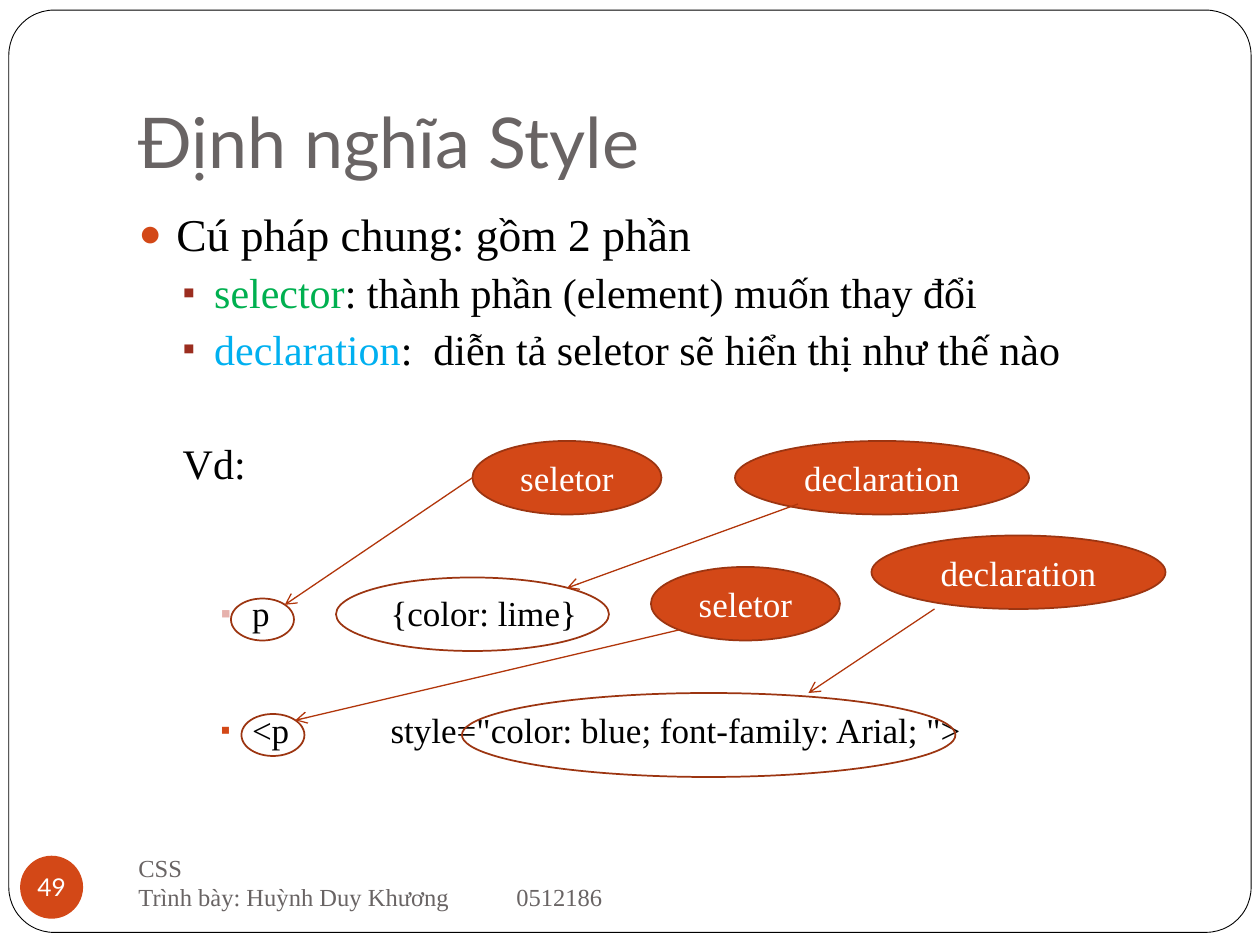
import dataclasses
from typing import Optional

import lxml.etree
import pptx
import pptx.dml.color
import pptx.enum.shapes
import pptx.enum.text
import pptx.oxml.ns
import pptx.util

RGBColor = pptx.dml.color.RGBColor
SHAPE = pptx.enum.shapes.MSO_SHAPE
ANCHOR = pptx.enum.text.MSO_ANCHOR
ALIGN = pptx.enum.text.PP_ALIGN
qn = pptx.oxml.ns.qn

WHITE = RGBColor(0xFF, 0xFF, 0xFF)
BLACK = RGBColor(0x00, 0x00, 0x00)
GRAY = RGBColor(0x69, 0x64, 0x64)
ORANGE = RGBColor(0xD3, 0x48, 0x17)
RUST = RGBColor(0x9C, 0x35, 0x11)
ARROW_RED = RGBColor(0xB1, 0x36, 0x0B)
BRICK = RGBColor(0x9B, 0x2D, 0x1F)
PINK = RGBColor(0xE6, 0xB1, 0xAC)
GREEN = RGBColor(0x00, 0xB0, 0x50)
SKY = RGBColor(0x00, 0xB0, 0xF0)
SERIF = "Times New Roman"
SANS = "Lato"

COLUMNS, ROWS = 120, 90
WIDTH, HEIGHT = pptx.util.Inches(10), pptx.util.Inches(7.5)
INDENTS = ((0.3, -0.3), (0.6, -0.25), (0.9, -0.25))
CODE_TAB, FOOTER_TAB = 24, 36


@dataclasses.dataclass(frozen=True)
class Bullet:
    mark: str
    color: RGBColor
    percent: int = 85


@dataclasses.dataclass(frozen=True)
class Item:
    level: int
    size: int
    before: float
    spans: tuple
    bullet: Optional[Bullet] = None
    tab: int = 0


@dataclasses.dataclass(frozen=True)
class Oval:
    column: float
    row: float
    columns: float
    rows: float
    label: str = ""


@dataclasses.dataclass(frozen=True)
class Arrow:
    start: tuple
    end: tuple


ITEMS = (
    Item(0, 26, 5.8, (("Cú pháp chung: gồm 2 phần", BLACK),), Bullet("●", ORANGE)),
    Item(1, 24, 3.7, (("selector", GREEN), (": thành phần (element) muốn thay đổi", BLACK)),
         Bullet("▪", BRICK)),
    Item(1, 24, 3.7, (("declaration", SKY),
                      (":  diễn tả seletor sẽ hiển thị như thế nào", BLACK)),
         Bullet("▪", BRICK)),
    Item(1, 24, 36.2, (("Vd:", BLACK),)),
    Item(2, 20, 59.4, (("p \t{color: lime}", BLACK),), Bullet("▪", PINK), CODE_TAB),
    Item(2, 20, 42.9, (('<p \tstyle="color: blue; font-family: Arial; ">', BLACK),),
         Bullet("▪", ORANGE, 80), CODE_TAB),
)
OVALS = (
    Oval(22, 57, 6, 4),
    Oval(32, 55, 26, 7),
    Oval(45, 42, 18, 7, "seletor"),
    Oval(70, 42, 28, 7, "declaration"),
    Oval(62, 54, 18, 7, "seletor"),
    Oval(83, 51, 28, 7, "declaration"),
    Oval(23, 68, 6, 4),
    Oval(44, 66, 47, 8),
)
ARROWS = (
    Arrow((45, 45.5), (27.12, 57.6)),
    Arrow((76, 48), (54, 56)),
    Arrow((64.64, 60), (28.12, 68.6)),
    Arrow((89, 58), (77, 66)),
)


def across(columns: float) -> int:
    return round(WIDTH * columns / COLUMNS)


def down(rows: float) -> int:
    return round(HEIGHT * rows / ROWS)


def place(shape, column: float, row: float, columns: float, rows: float) -> None:
    shape.left, shape.top = across(column), down(row)
    shape.width, shape.height = across(columns), down(rows)


def add_span(para, text: str, font: str, size: float, color: RGBColor) -> None:
    span = para.add_run()
    span.text = text
    span.font.name = font
    span.font.size = pptx.util.Pt(size)
    span.font.color.rgb = color


def set_tab(para, columns: int) -> None:
    stops = lxml.etree.SubElement(para._p.get_or_add_pPr(), qn("a:tabLst"))
    lxml.etree.SubElement(stops, qn("a:tab"), pos=str(across(columns)), algn="l")


def set_bullet(para, level: int, bullet: Optional[Bullet]) -> None:
    properties = para._p.get_or_add_pPr()
    margin, indent = INDENTS[level]
    properties.set("marL", str(pptx.util.Inches(margin)))
    properties.set("indent", str(pptx.util.Inches(indent)))
    if bullet is None:
        lxml.etree.SubElement(properties, qn("a:buNone"))
        return
    color = lxml.etree.SubElement(properties, qn("a:buClr"))
    lxml.etree.SubElement(color, qn("a:srgbClr"), val=str(bullet.color))
    lxml.etree.SubElement(properties, qn("a:buSzPct"), val=str(bullet.percent * 1000))
    lxml.etree.SubElement(properties, qn("a:buFont"), typeface=SERIF)
    lxml.etree.SubElement(properties, qn("a:buChar"), char=bullet.mark)


def add_border(page) -> None:
    border = page.shapes.add_shape(SHAPE.ROUNDED_RECTANGLE, 0, 0, 0, 0)
    place(border, 0.84, 0.96, 118.32, 87.84)
    border.adjustments[0] = 0.049
    border.shadow.inherit = False
    border.fill.solid()
    border.fill.fore_color.rgb = WHITE
    border.line.color.rgb = BLACK
    border.line.width = pptx.util.Pt(0.5)
    page.shapes._spTree.insert(2, border._element)


def fill_title(page) -> None:
    title = page.shapes.title
    place(title, 12, 3.6, 102, 15)
    frame = title.text_frame
    frame.auto_size = pptx.enum.text.MSO_AUTO_SIZE.NONE
    frame.vertical_anchor = ANCHOR.BOTTOM
    frame.margin_bottom = pptx.util.Inches(0.1)
    para = frame.paragraphs[0]
    para.alignment = ALIGN.LEFT
    add_span(para, "Định nghĩa Style", SANS, 40, GRAY)


def fill_body(page) -> None:
    body = page.placeholders[1]
    place(body, 12, 19, 102, 60)
    frame = body.text_frame
    frame.auto_size = pptx.enum.text.MSO_AUTO_SIZE.NONE
    for number, item in enumerate(ITEMS):
        para = frame.add_paragraph() if number else frame.paragraphs[0]
        para.level = item.level
        para.space_before = pptx.util.Pt(item.before)
        set_bullet(para, item.level, item.bullet)
        if item.tab:
            set_tab(para, item.tab)
        for text, color in item.spans:
            add_span(para, text, SERIF, item.size, color)


def add_footer(page) -> None:
    box = page.shapes.add_textbox(across(12), down(81), across(52), down(6))
    frame = box.text_frame
    frame.word_wrap = True
    frame.vertical_anchor = ANCHOR.MIDDLE
    add_span(frame.paragraphs[0], "CSS", SERIF, 14, GRAY)
    para = frame.add_paragraph()
    set_tab(para, FOOTER_TAB)
    add_span(para, "Trình bày: Huỳnh Duy Khương\t0512186", SERIF, 14, GRAY)


def add_oval(page, oval: Oval):
    shape = page.shapes.add_shape(SHAPE.OVAL, 0, 0, 0, 0)
    place(shape, oval.column, oval.row, oval.columns, oval.rows)
    shape.shadow.inherit = False
    shape.line.color.rgb = RUST
    shape.line.width = pptx.util.Pt(1)
    if not oval.label:
        shape.fill.background()
        return shape
    shape.fill.solid()
    shape.fill.fore_color.rgb = ORANGE
    frame = shape.text_frame
    frame.vertical_anchor = ANCHOR.MIDDLE
    frame.paragraphs[0].alignment = ALIGN.CENTER
    add_span(frame.paragraphs[0], oval.label, SERIF, 20, WHITE)
    return shape


def add_page_number(page) -> None:
    badge = add_oval(page, Oval(1.92, 81.5, 6, 6, "49"))
    badge.line.fill.background()
    frame = badge.text_frame
    frame.word_wrap = False
    frame.margin_left = frame.margin_right = frame.margin_top = frame.margin_bottom = 0
    font = frame.paragraphs[0].runs[0].font
    font.name, font.size = SANS, pptx.util.Pt(14)


def add_arrow(page, arrow: Arrow) -> None:
    line = page.shapes.add_connector(
        pptx.enum.shapes.MSO_CONNECTOR.STRAIGHT,
        across(arrow.start[0]), down(arrow.start[1]), across(arrow.end[0]), down(arrow.end[1]))
    line.line.color.rgb = ARROW_RED
    line.line.width = pptx.util.Pt(0.75)
    lxml.etree.SubElement(line.line._get_or_add_ln(), qn("a:tailEnd"), type="arrow")
    lxml.etree.SubElement(line._element.spPr, qn("a:effectLst"))


def main() -> None:
    deck = pptx.Presentation()
    deck.slide_width, deck.slide_height = WIDTH, HEIGHT
    page = deck.slides.add_slide(deck.slide_layouts[1])
    add_border(page)
    fill_title(page)
    add_footer(page)
    add_page_number(page)
    fill_body(page)
    for oval in OVALS:
        add_oval(page, oval)
    for arrow in ARROWS:
        add_arrow(page, arrow)
    deck.save("out.pptx")


if __name__ == "__main__":
    main()
